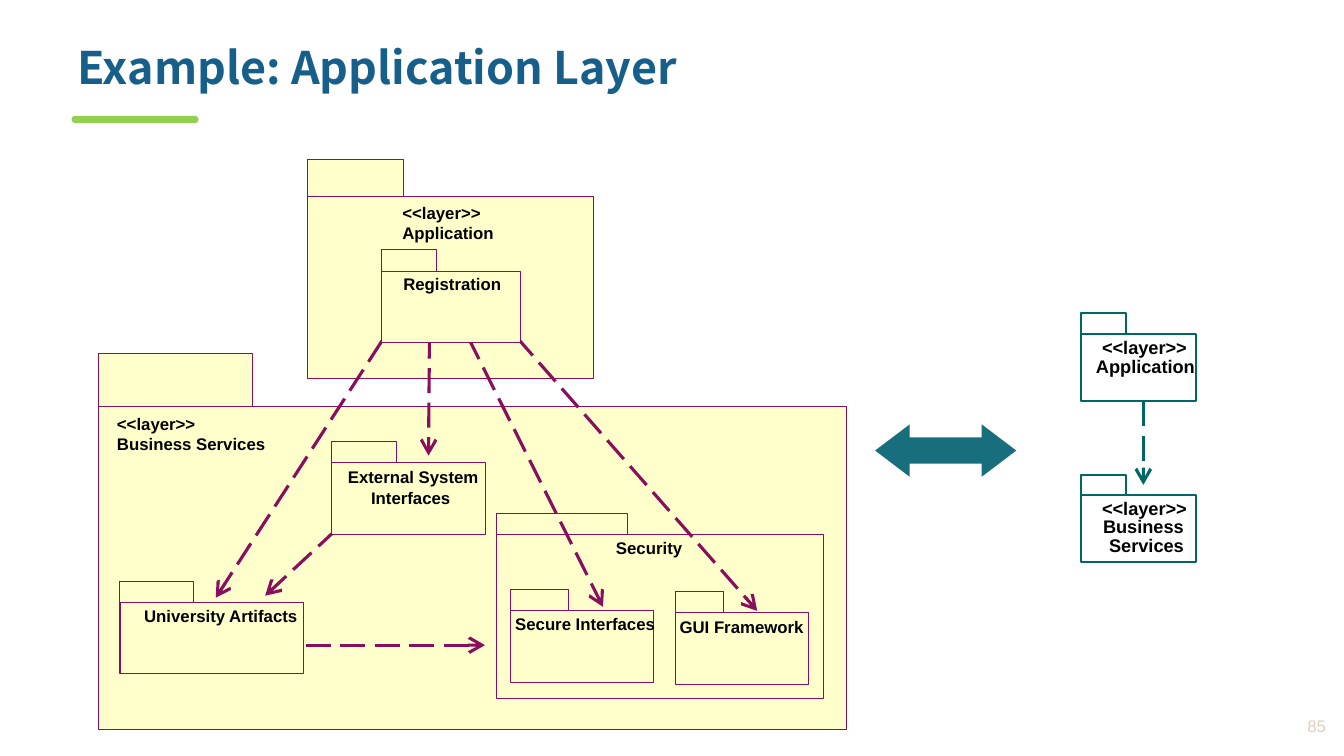
import pptx
import pptx.dml.color
import pptx.enum.dml
import pptx.enum.shapes
import pptx.enum.text
import pptx.oxml
import pptx.oxml.ns
import pptx.util

Inches = pptx.util.Inches
Pt = pptx.util.Pt
SHAPES = pptx.enum.shapes.MSO_SHAPE
ANCHORS = pptx.enum.text.MSO_ANCHOR
ALIGNMENTS = pptx.enum.text.PP_ALIGN
AUTO_SIZES = pptx.enum.text.MSO_AUTO_SIZE

TITLE = "Example: Application Layer"
PAGE_NUMBER = "85"
PURPLE, TEAL, CREAM, BLACK = "8A0E5E", "006666", "FFFFCC", "000000"

DETAIL_STYLE = {"fill": CREAM, "line": PURPLE, "weight": 0, "size": 12, "label_height": 0.2}
SUMMARY_STYLE = {"fill": None, "line": TEAL, "weight": 1.5, "size": 13, "label_height": 0.22}

BACK_PACKAGES = [
    ((0.98, 4.03, 7.42, 3.21), (1.53, 0.52), [("<<layer>>\nBusiness Services", 1.16, 4.1, 1.48)]),
    ((4.92, 5.3, 3.25, 1.63), (1.3, 0.21), [("Security", 6.11, 5.33, 0.66)]),
    ((6.7, 6.08, 1.32, 0.71), (0.48, 0.21), [("GUI Framework", 6.74, 6.12, 1.24)]),
    ((5.06, 6.06, 1.42, 0.71), (0.58, 0.21), [("Secure Interfaces", 5.11, 6.09, 1.4)]),
    ((3.05, 1.95, 2.84, 1.81), (0.95, 0.37), [("<<layer>>\nApplication", 3.99, 2.01, 0.92)]),
]
FRONT_PACKAGES = [
    ((1.19, 5.98, 1.82, 0.7), (0.73, 0.21), [("University Artifacts", 1.43, 6.01, 1.53)]),
    ((3.78, 2.69, 1.38, 0.71), (0.55, 0.21), [("Registration", 4, 2.72, 0.98)]),
    ((3.29, 4.59, 1.53, 0.71), (0.64, 0.21),
     [("External System", 3.45, 4.63, 1.35), ("Interfaces", 3.68, 4.84, 0.79)]),
]
SUMMARY_PACKAGES = [
    ((10.72, 3.31, 1.14, 0.67), (0.45, 0.2),
     [("<<layer>>", 10.93, 3.34, 0.85), ("Application", 10.87, 3.52, 0.99)]),
    ((10.72, 4.91, 1.14, 0.67), (0.45, 0.2),
     [("<<layer>>", 10.93, 4.93, 0.85), ("Business", 10.94, 5.11, 0.86),
      ("Services", 11, 5.3, 0.78)]),
]
DETAIL_DEPENDENCIES = [
    (4.64, 3.34, 5.98, 6.02),
    (4.26, 3.31, 4.25, 4.52),
    (3.79, 3.38, 2.14, 5.93),
    (3.34, 5.25, 2.63, 5.91),
    (5.12, 3.34, 7.51, 6.06),
    (2.69, 6.4, 4.81, 6.4),
]
SUMMARY_DEPENDENCY = (11.34, 3.98, 11.34, 4.81)

presentation = pptx.Presentation()
presentation.slide_width = Inches(13.33)
presentation.slide_height = Inches(7.5)
slide = presentation.slides.add_slide(presentation.slide_layouts[6])


def set_color(color_format, hex_color):
    color_format.rgb = pptx.dml.color.RGBColor.from_string(hex_color)


def add_shape(kind, box, fill=None, line=None, weight=0):
    shape = slide.shapes.add_shape(kind, *map(Inches, box))
    shape.shadow.inherit = False
    if fill:
        shape.fill.solid()
        set_color(shape.fill.fore_color, fill)
    else:
        shape.fill.background()
    if line:
        set_color(shape.line.color, line)
        shape.line.width = Pt(weight)
    else:
        shape.line.fill.background()
    return shape


def add_text(text, box, size, color=BLACK, font="Arial", bold=True, wrap=False, margin=0):
    textbox = slide.shapes.add_textbox(*map(Inches, box))
    frame = textbox.text_frame
    frame.word_wrap = wrap
    frame.auto_size = AUTO_SIZES.NONE if wrap else AUTO_SIZES.SHAPE_TO_FIT_TEXT
    frame.margin_left = frame.margin_right = Inches(margin)
    frame.margin_top = frame.margin_bottom = Inches(margin / 2)
    frame.text = text
    for paragraph in frame.paragraphs:
        for run in paragraph.runs:
            run.font.name = font
            run.font.size = Pt(size)
            run.font.bold = bold
            set_color(run.font.color, color)
            east_asian = pptx.oxml.parse_xml(
                f'<a:ea {pptx.oxml.ns.nsdecls("a")} typeface="{font}"/>')
            run.font._element.find(pptx.oxml.ns.qn("a:latin")).addnext(east_asian)
    return frame


def add_package(body, tab, labels, style):
    left, top, width, height = body
    tab_width, tab_height = tab
    outline = (style["fill"], style["line"], style["weight"])
    add_shape(SHAPES.RECTANGLE, body, *outline)
    add_shape(SHAPES.RECTANGLE, (left, top - tab_height, tab_width, tab_height), *outline)
    for text, label_left, label_top, label_width in labels:
        label_height = style["label_height"] * len(text.split("\n"))
        add_text(text, (label_left, label_top, label_width, label_height), style["size"])


def add_dependency(ends, color):
    arrow = slide.shapes.add_connector(
        pptx.enum.shapes.MSO_CONNECTOR.STRAIGHT, *map(Inches, ends))
    set_color(arrow.line.color, color)
    arrow.line.width = Pt(2.25)
    arrow.line.dash_style = pptx.enum.dml.MSO_LINE.LONG_DASH
    namespace = pptx.oxml.ns.nsdecls("a")
    properties = arrow._element.spPr
    properties.find(pptx.oxml.ns.qn("a:ln")).append(
        pptx.oxml.parse_xml(f'<a:tailEnd {namespace} type="arrow" w="lg" len="lg"/>'))
    properties.append(pptx.oxml.parse_xml(f"<a:effectLst {namespace}/>"))


accent = add_shape(SHAPES.ROUND_2_SAME_RECTANGLE, (0.71, 1.15, 1.26, 0.07), "92D050")
accent.adjustments[0] = accent.adjustments[1] = 0.5

title_frame = add_text(TITLE, (0.67, 0.4, 12.27, 0.75), 32, "175F8B",
                       "Noto Sans CJK SC", wrap=True, margin=0.1)
title_frame.paragraphs[0].line_spacing = 0.9

for package in BACK_PACKAGES:
    add_package(*package, DETAIL_STYLE)
for package in SUMMARY_PACKAGES:
    add_package(*package, SUMMARY_STYLE)
add_dependency(SUMMARY_DEPENDENCY, TEAL)

equivalence = add_shape(SHAPES.LEFT_RIGHT_ARROW, (8.68, 4.21, 1.4, 0.52), "196E7D")
equivalence.adjustments[0] = 0.5
equivalence.adjustments[1] = 0.66

for ends in DETAIL_DEPENDENCIES:
    add_dependency(ends, PURPLE)
for package in FRONT_PACKAGES:
    add_package(*package, DETAIL_STYLE)

number_frame = add_text(PAGE_NUMBER, (12.12, 7.01, 1.13, 0.38), 12, "E0CFBD",
                        bold=False, wrap=True, margin=0.1)
number_frame.vertical_anchor = ANCHORS.MIDDLE
number_frame.paragraphs[0].alignment = ALIGNMENTS.RIGHT

presentation.save("out.pptx")
